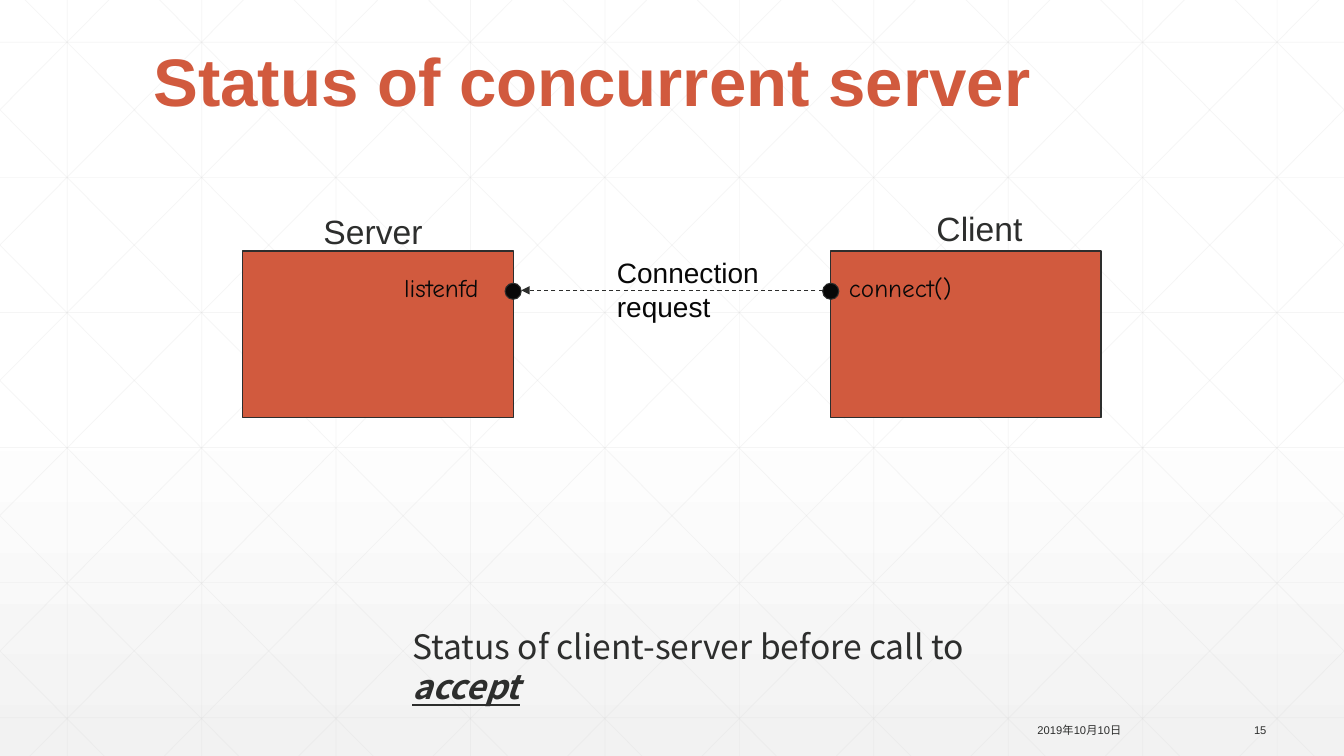
from pptx import Presentation
from pptx.dml.color import RGBColor as RGB
from pptx.enum.dml import MSO_LINE as Dash
from pptx.enum.shapes import MSO_CONNECTOR as Conn, MSO_SHAPE as Form
from pptx.enum.text import MSO_ANCHOR as Anchor, PP_ALIGN as Align
from pptx.oxml.ns import qn
from pptx.util import Inches as In, Pt
from lxml.etree import SubElement as Sub

HUES = {"rust": "D15A3E", "ink": "2D2E2D", "black": "080808",
        "grid": "D9D9D9", "white": "FFFFFF", "mist": "F2F2F2"}
WIDE, HIGH = 13.33, 7.5
STEP = 4 / 3
RUN = 7.45

deck = Presentation()
deck.slide_width, deck.slide_height = In(WIDE), In(HIGH)
slide = deck.slides.add_slide(deck.slide_layouts[5])
shapes = slide.shapes


def rule(x1, y1, x2, y2, hue, width):
    line = shapes.add_connector(Conn.STRAIGHT, In(x1), In(y1), In(x2), In(y2))
    line.line.color.rgb = RGB.from_string(HUES[hue])
    line.line.width = Pt(width)
    Sub(line._element.spPr, qn("a:effectLst"))
    return line


def label(text, box, size, font, hue, wrap=True, align=Align.LEFT, anchor=Anchor.TOP):
    frame = shapes.add_textbox(*map(In, box)).text_frame
    frame.word_wrap = wrap
    frame.vertical_anchor = anchor
    frame.text = text
    for para in frame.paragraphs:
        para.alignment = align
        para.font.size = Pt(size)
        para.font.name = font
        para.font.color.rgb = RGB.from_string(HUES[hue])
    return frame


back = slide.background.fill
back.gradient()
back.gradient_angle = 270
for stop, place, hue in zip(back.gradient_stops, (0.53, 1), ("white", "mist")):
    stop.position = place
    stop.color.rgb = RGB.from_string(HUES[hue])

grid = [(STEP * (n + 0.5), 0, STEP * (n + 0.5), HIGH) for n in range(10)]
grid += [(0, 0.42 + 1.34 * n, WIDE, 0.42 + 1.34 * n) for n in range(6)]
for n in range(-5, 10):
    top = 0.25 + STEP * n
    x1, x2 = max(top, 0), min(top + RUN, WIDE)
    y1, y2 = [(x - top) * HIGH / RUN for x in (x1, x2)]
    grid += [(x1, y1, x2, y2), (WIDE - x1, y1, WIDE - x2, y2)]
for ends in grid:
    faint = rule(*ends, "grid", 0.5)
    tint = faint._element.spPr.find(".//" + qn("a:srgbClr"))
    Sub(tint, qn("a:alpha"), val="25000")

for text, left, width in (("2019年10月10日", 10.16, 1.06), ("15", 11.66, 1)):
    label(text, (left, 7.12, width, 0.24), 8, "Arial", "ink",
          align=Align.RIGHT, anchor=Anchor.MIDDLE)

title = shapes.title
shapes._spTree.append(title._element)
title.left, title.top, title.width, title.height = map(In, (1.42, 0, 10.5, 1.25))
title.text = "Status of concurrent server"
title.text_frame.vertical_anchor = Anchor.BOTTOM
head = title.text_frame.paragraphs[0]
head.alignment = Align.LEFT
head.line_spacing = 0.9
head.font.size, head.font.bold, head.font.name = Pt(48), True, "Arial"
head.font.color.rgb = RGB.from_string(HUES["rust"])

for form, hue, spots, top, width, height in (
        (Form.RECTANGLE, "rust", (2.41, 8.24), 2.49, 2.68, 1.65),
        (Form.OVAL, "black", (5.01, 8.16), 2.81, 0.16, 0.16)):
    for left in spots:
        shape = shapes.add_shape(form, In(left), In(top), In(width), In(height))
        shape.shadow.inherit = False
        shape.fill.solid()
        shape.fill.fore_color.rgb = RGB.from_string(HUES[hue])
        shape.line.color.rgb = RGB.from_string(HUES["ink"])
        shape.line.width = Pt(0.75)

call = rule(8.16, 2.88, 5.17, 2.88, "ink", 0.75)
call.line.dash_style = Dash.DASH
Sub(call.line._get_or_add_ln(), qn("a:tailEnd"), type="triangle")

label("Server", (3.11, 2.04, 1.18, 0.5), 24, "Arial", "ink", wrap=False)
label("Client", (9.19, 2.01, 1.06, 0.5), 24, "Arial", "ink", wrap=False)
label("connect()", (8.32, 2.65, 1.29, 0.4), 18, "Comic Neue", "black")
label("listenfd", (3.91, 2.65, 1.12, 0.4), 18, "Comic Neue", "black")
label("Connection\nrequest", (6.02, 2.49, 1.61, 0.77), 20, "Arial", "black")

note = label("Status of client-server before call to ", (3.99, 6.16, 6.21, 0.5),
             24, "Noto Sans CJK JP", "ink")
word = note.paragraphs[0].add_run()
word.text = "accept"
word.font.bold = word.font.italic = word.font.underline = True

deck.save("out.pptx")
